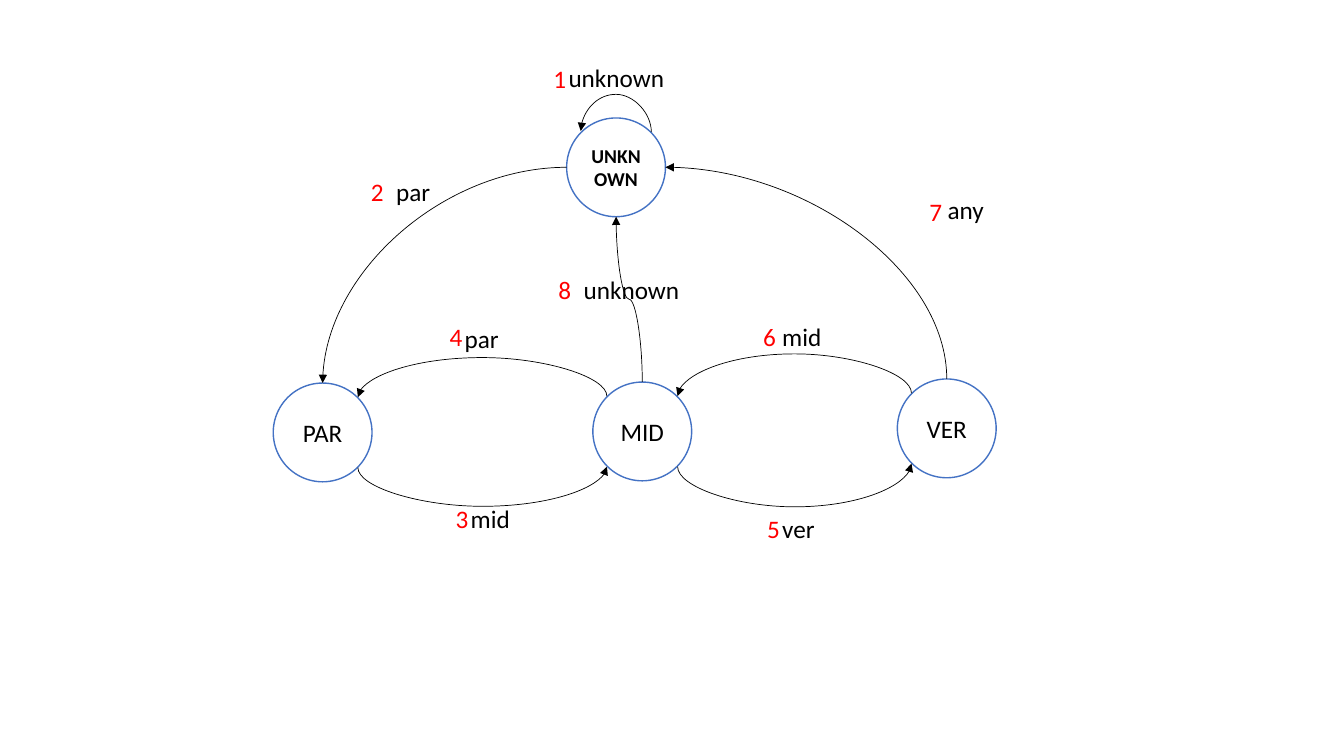
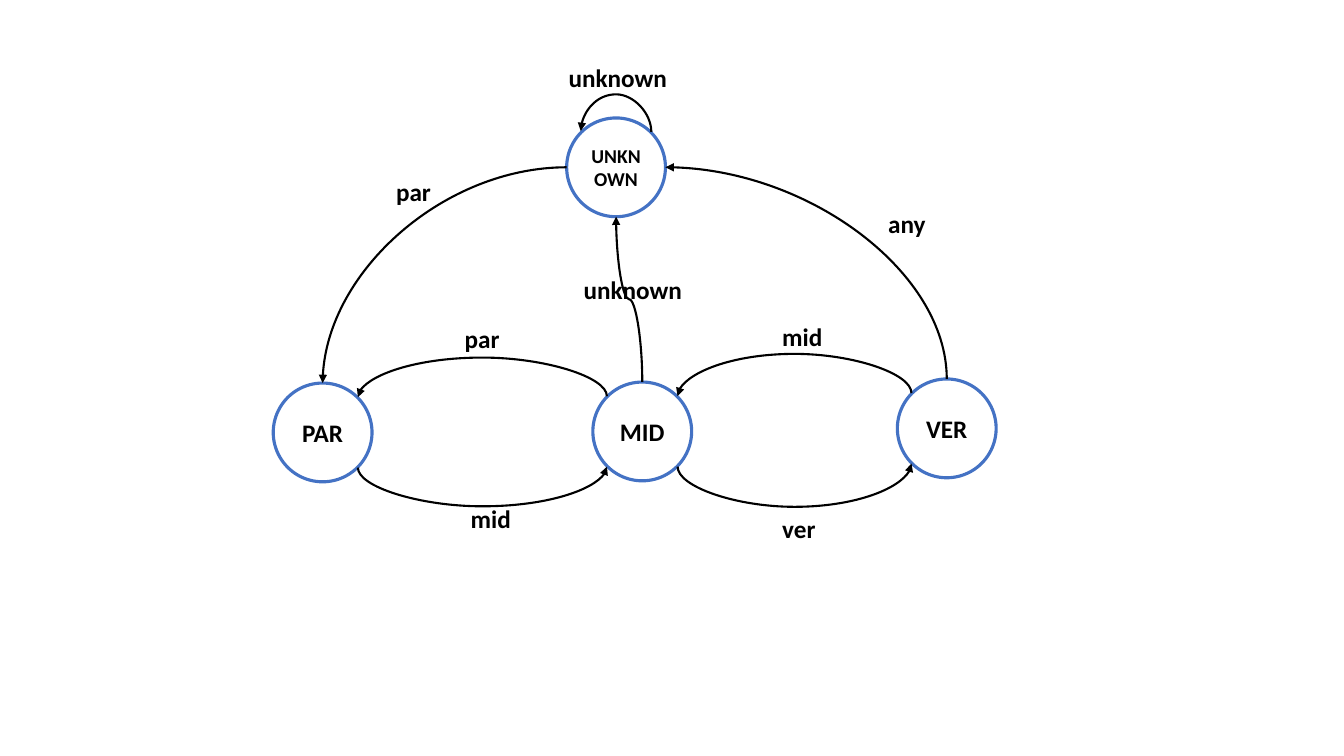
import lxml.etree
import pptx
import pptx.dml.color
import pptx.enum.shapes
import pptx.enum.text
import pptx.oxml.ns
import pptx.util

PX = 9144  # EMU in one px, 100 px to the inch
FONT = "Calibri"
COLORS = {"ink": "000000", "paper": "FFFFFF", "ring": "4472C4", "number": "FF0000"}
DIAMETER = 98
LABEL_HEIGHT = 40

# Connection sites of a circle: index and offset from its top left corner
SITES = {
    "top": (0, 49, 0), "top left": (1, 14, 14), "left": (2, 0, 49),
    "bottom left": (3, 14, 84), "bottom": (4, 49, 98),
    "bottom right": (5, 84, 84), "right": (6, 98, 49), "top right": (7, 84, 14),
}

# State: left, top, text size
STATES = {
    "UNKNOWN": (562, 117, 14),
    "PAR": (271, 380, 18),
    "VER": (890, 376, 18),
    "MID": (588, 379, 18),
}

# From state and site, to state and site, height of the bend (None for a quarter curve)
TRANSITIONS = [
    ("UNKNOWN", "top right", "UNKNOWN", "top left", 93),
    ("UNKNOWN", "left", "PAR", "top", None),
    ("PAR", "bottom right", "MID", "bottom left", 503),
    ("MID", "top left", "PAR", "top right", 354),
    ("MID", "bottom right", "VER", "bottom left", 503),
    ("VER", "top left", "MID", "top right", 351),
    ("VER", "top", "UNKNOWN", "right", None),
    ("MID", "top", "UNKNOWN", "bottom", 297),
]

# Text, left, top, width
LABELS = [
    ("unknown", 554, 57, 145),
    ("par", 383, 170, 68),
    ("mid", 457, 494, 68),
    ("par", 451, 316, 68),
    ("ver", 766, 504, 68),
    ("mid", 766, 314, 68),
    ("unknown", 569, 267, 145),
]

# Left and top of the step numbers, in order from 1
NUMBERS = [(539, 58), (358, 170), (442, 494), (436, 314),
           (751, 504), (747, 314), (912, 190), (544, 267)]


def px(length):
    return pptx.util.Emu(round(length * PX))


def rgb(name):
    return pptx.dml.color.RGBColor.from_string(COLORS[name])


def qn(tag):
    return pptx.oxml.ns.qn(tag)


def write(frame, text, size=18, color="ink", bold=False, align=None):
    para = frame.paragraphs[0]
    para.alignment = align
    span = para.add_run()
    span.text = text
    span.font.name = FONT
    span.font.size = pptx.util.Pt(size)
    span.font.bold = bold
    span.font.color.rgb = rgb(color)


class StateDiagram:
    def __init__(self, deck, ring_width, arrow_width, bold):
        self.slide = deck.slides.add_slide(deck.slide_layouts[6])
        self.ring_width = pptx.util.Pt(ring_width)
        self.arrow_width = pptx.util.Pt(arrow_width)
        self.bold = bold
        self.circles = {}

    def state(self, name, left, top, size):
        circle = self.slide.shapes.add_shape(
            pptx.enum.shapes.MSO_SHAPE.FLOWCHART_CONNECTOR,
            px(left), px(top), px(DIAMETER), px(DIAMETER))
        circle.shadow.inherit = False
        circle.fill.solid()
        circle.fill.fore_color.rgb = rgb("paper")
        circle.line.color.rgb = rgb("ring")
        circle.line.width = self.ring_width
        frame = circle.text_frame
        frame.word_wrap = True
        frame.vertical_anchor = pptx.enum.text.MSO_ANCHOR.MIDDLE
        write(frame, name, size=size, bold=self.bold or name == "UNKNOWN",
              align=pptx.enum.text.PP_ALIGN.CENTER)
        self.circles[name] = circle

    def label(self, text, left, top, width, color="ink"):
        box = self.slide.shapes.add_textbox(px(left), px(top), px(width), px(LABEL_HEIGHT))
        frame = box.text_frame
        frame.word_wrap = True
        frame.auto_size = pptx.enum.text.MSO_AUTO_SIZE.SHAPE_TO_FIT_TEXT
        write(frame, text, color=color, bold=self.bold)

    def transition(self, source, source_site, target, target_site, bend):
        """Draw a curved arrow that is turned so that its local x axis follows its start."""
        begin_site, begin_x, begin_y = SITES[source_site]
        end_site, end_x, end_y = SITES[target_site]
        begin_x, begin_y = begin_x + STATES[source][0], begin_y + STATES[source][1]
        end_x, end_y = end_x + STATES[target][0], end_y + STATES[target][1]
        if begin_y == end_y:
            end_y -= 1  # a bend is a share of the height, which must not be zero
        run, rise = end_x - begin_x, end_y - begin_y
        if source_site == "left":
            angle, width, height, mirrored = 180, abs(run), abs(rise), False
        else:
            angle = 90 if run > 0 else 270
            width, height = abs(rise), abs(run)
            mirrored = (rise < 0) == (angle == 90)
        left = (begin_x + end_x - width) / 2
        top = (begin_y + end_y - height) / 2
        arrow = self.slide.shapes.add_connector(
            pptx.enum.shapes.MSO_CONNECTOR.CURVE,
            px(left), px(top), px(left + width), px(top + height))
        arrow.line.color.rgb = rgb("ink")
        arrow.line.width = self.arrow_width

        properties = arrow.element.spPr
        frame = properties.find(qn("a:xfrm"))
        frame.set("rot", str(angle * 60000))
        frame.set("flipV", "1")
        if mirrored:
            frame.set("flipH", "1")
        geometry = properties.find(qn("a:prstGeom"))
        if bend is None:
            geometry.set("prst", "curvedConnector2")
        else:
            share = round((bend - begin_y) / rise * 100000)
            lxml.etree.SubElement(geometry.find(qn("a:avLst")), qn("a:gd"),
                                  name="adj1", fmla=f"val {share}")
        lxml.etree.SubElement(properties.find(qn("a:ln")), qn("a:tailEnd"), type="triangle")
        lxml.etree.SubElement(properties, qn("a:effectLst"))

        links = arrow.element.find(".//" + qn("p:cNvCxnSpPr"))
        for tag, name, site in (("a:stCxn", source, begin_site), ("a:endCxn", target, end_site)):
            lxml.etree.SubElement(links, qn(tag), id=str(self.circles[name].shape_id),
                                  idx=str(site))

    def draw(self, any_left, any_top):
        for name, place in STATES.items():
            self.state(name, *place)
        for transition in TRANSITIONS:
            self.transition(*transition)
        for label in LABELS + [("any", any_left, any_top, 68)]:
            self.label(*label)

    def number_steps(self):
        for number, (left, top) in enumerate(NUMBERS, 1):
            self.label(str(number), left, top, 29, color="number")


def main():
    deck = pptx.Presentation()
    deck.slide_width, deck.slide_height = px(1333), px(750)

    numbered = StateDiagram(deck, ring_width=1, arrow_width=0.5, bold=False)
    numbered.draw(any_left=930, any_top=188)
    numbered.number_steps()

    plain = StateDiagram(deck, ring_width=2.25, arrow_width=1.5, bold=True)
    plain.draw(any_left=871, any_top=202)

    deck.save("out.pptx")


if __name__ == "__main__":
    main()
